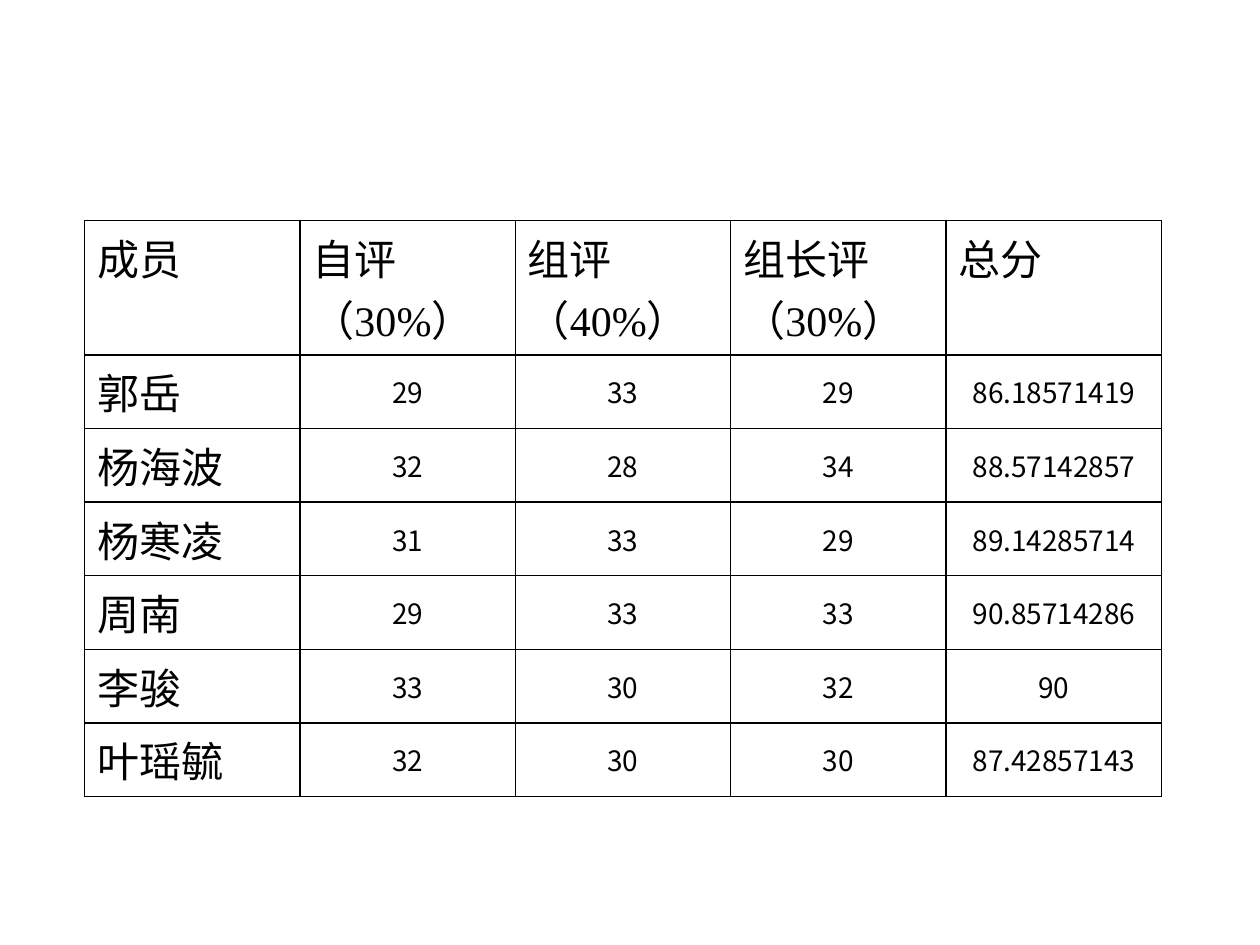
from lxml.etree import SubElement
from pptx import Presentation
from pptx.dml.color import RGBColor
from pptx.enum.text import MSO_ANCHOR as ANCHOR, PP_ALIGN as ALIGN
from pptx.oxml.ns import qn
from pptx.util import Inches, Pt

HEADER = ["成员", "自评（30%）", "组评（40%）", "组长评（30%）", "总分"]
SCORES = [
    ("郭岳", "29", "33", "29", "86.18571419"),
    ("杨海波", "32", "28", "34", "88.57142857"),
    ("杨寒凌", "31", "33", "29", "89.14285714"),
    ("周南", "29", "33", "33", "90.85714286"),
    ("李骏", "33", "30", "32", "90"),
    ("叶瑶毓", "32", "30", "30", "87.42857143"),
]
LEFT, TOP = 0.67, 1.75
COL_W, ROW_H = 1.71, 0.4
BLACK = "000000"
CJK_FONT = "Noto Sans CJK SC"
LABEL = dict(size=24, font="Times New Roman")
SCORE = dict(size=16, font=CJK_FONT, align=ALIGN.CENTER)


def rgb(value):
    return RGBColor.from_string(value)


def write(tf, text, size, font, color=BLACK, align=None):
    p = tf.paragraphs[0]
    p.alignment = align
    r = p.add_run()
    r.text = text
    r.font.size = Pt(size)
    r.font.name = font
    r.font.color.rgb = rgb(color)
    SubElement(r.font._element, qn("a:ea"), typeface=CJK_FONT)


def add_borders(cell, color=BLACK, width=1):
    props = cell._tc.get_or_add_tcPr()
    for i, side in enumerate(("lnL", "lnR", "lnT", "lnB")):
        ln = SubElement(props, qn(f"a:{side}"), w=str(Pt(width)))
        fill = SubElement(ln, qn("a:solidFill"))
        SubElement(fill, qn("a:srgbClr"), val=color)
        props.insert(i, ln)  # borders come before the cell fill


prs = Presentation()
prs.slide_width, prs.slide_height = Inches(10), Inches(7.5)
s = prs.slides.add_slide(prs.slide_layouts[6])

# Score table
rows = [HEADER, *SCORES]
table = s.shapes.add_table(
    len(rows), len(HEADER), Inches(LEFT), Inches(TOP),
    Inches(COL_W * len(HEADER)), Inches(ROW_H * len(rows))).table
table.first_row = table.horz_banding = False
for col in table.columns:
    col.width = Inches(COL_W)
for row in table.rows:
    row.height = Inches(ROW_H)

# Labels in the first row and column, centred scores elsewhere
for i, row in enumerate(rows):
    for j, text in enumerate(row):
        cell = table.cell(i, j)
        is_score = i > 0 and j > 0
        cell.fill.background()
        add_borders(cell)
        if is_score:
            cell.vertical_anchor = ANCHOR.MIDDLE
            cell.margin_left = cell.margin_right = 0
            cell.margin_top = cell.margin_bottom = 0
        write(cell.text_frame, text, **(SCORE if is_score else LABEL))

prs.save("out.pptx")
